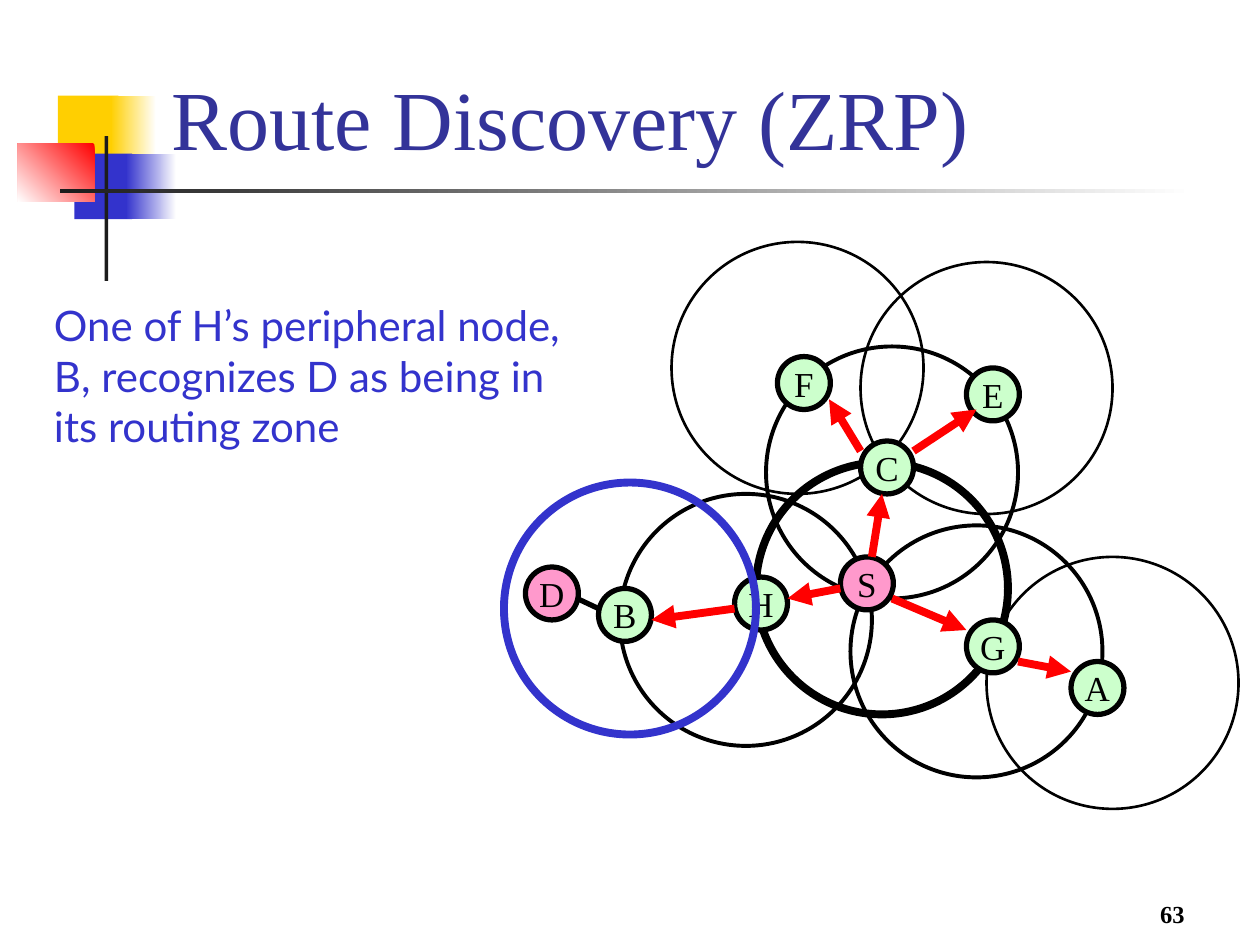
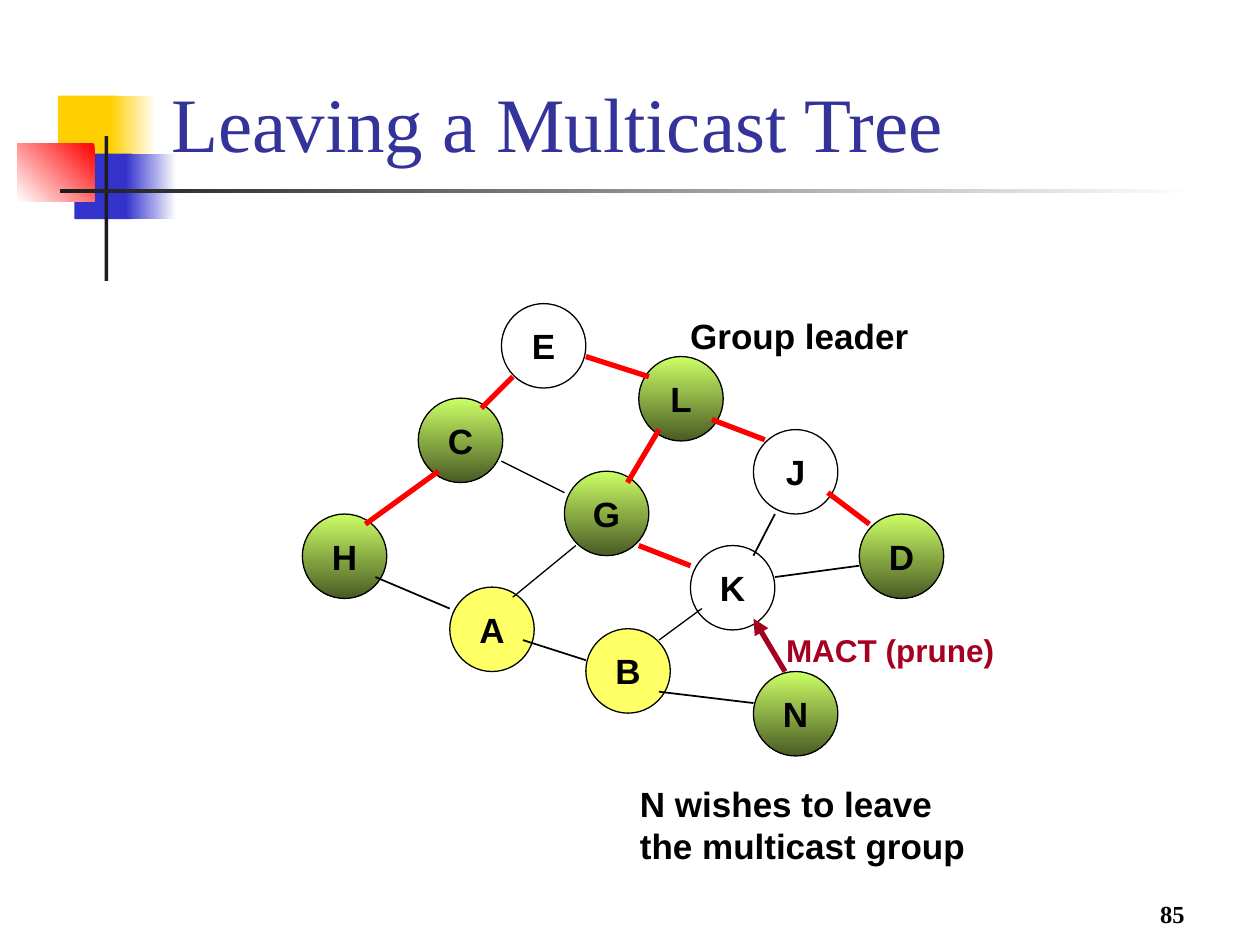
from lxml.etree import SubElement
from pptx import Presentation
from pptx.dml.color import RGBColor
from pptx.enum.shapes import MSO_CONNECTOR, MSO_SHAPE
from pptx.enum.text import MSO_ANCHOR as Anchor, MSO_AUTO_SIZE as AutoSize, PP_ALIGN as Align
from pptx.oxml.ns import qn
from pptx.util import Inches, Pt

# Colours and fonts
WHITE = RGBColor(0xFF, 0xFF, 0xFF)
BLACK = RGBColor(0x00, 0x00, 0x00)
CHARCOAL = RGBColor(0x1C, 0x1C, 0x1C)
RED = RGBColor(0xFF, 0x00, 0x00)
GOLD = RGBColor(0xFF, 0xCF, 0x01)
BLUE = RGBColor(0x33, 0x33, 0xCC)
TITLE_BLUE = RGBColor(0x33, 0x33, 0x99)
PINK = RGBColor(0xFF, 0x99, 0xCC)
MINT = RGBColor(0xCC, 0xFF, 0xCC)
YELLOW = RGBColor(0xFF, 0xFF, 0x66)
LIME = RGBColor(0xCC, 0xFF, 0x66)
OLIVE = RGBColor(0x49, 0x5B, 0x24)
CRIMSON = RGBColor(0xA5, 0x00, 0x21)
SERIF, SANS, BODY = "Times New Roman", "Arial", "Lato"

# A gradient is (first colour, last colour, counter-clockwise angle)
MEMBER = (LIME, OLIVE, 270)

# Shared corner motif: left, top, width, height, fill
MOTIF = [
    (0.46, 0.76, 0.48, 0.52, GOLD),
    (0.88, 0.76, 0.36, 0.52, (WHITE, GOLD, 180)),
    (0.59, 1.22, 0.46, 0.52, BLUE),
    (1.0, 1.22, 0.4, 0.52, (WHITE, BLUE, 180)),
    (0.14, 1.14, 0.61, 0.46, (RED, WHITE, 225)),
    (0.83, 1.08, 0.03, 1.15, CHARCOAL),
    (0.48, 1.5, 9.0, 0.03, (WHITE, CHARCOAL, 180)),
]

# Route discovery: routing zones by line width, nodes by fill, hops
ZONE_SIZE, HOST_SIZE = 2.0, 0.42
ZONES = [
    (5.33, 1.92, 1.5), (6.83, 2.08, 1.5), (6.08, 2.75, 2.25), (6.0, 3.67, 4.5),
    (7.83, 4.42, 1.5), (4.92, 3.92, 2.25), (6.75, 4.17, 2.25),
]
ZONE_OF_B = (4.0, 3.83)
HOSTS = {
    "S": (6.67, 4.42, PINK), "E": (7.67, 2.92, MINT), "F": (6.17, 2.83, MINT),
    "A": (8.5, 5.25, MINT), "G": (7.67, 4.92, MINT), "D": (4.17, 4.5, PINK),
    "C": (6.83, 3.5, MINT), "B": (4.75, 4.67, MINT), "H": (5.83, 4.58, MINT),
}
LINK_D_B = (4.58, 4.75, 4.75, 4.83)
HOPS = [
    (6.67, 4.67, 6.25, 4.75), (7.08, 4.75, 7.67, 5.0), (6.92, 4.42, 7.0, 3.92),
    (5.83, 4.83, 5.17, 4.92), (8.08, 5.25, 8.5, 5.33), (7.25, 3.58, 7.75, 3.25),
    (6.83, 3.58, 6.58, 3.17),
]
FINDING = "One of H’s peripheral node, B, recognizes D as being in its routing zone"

# Multicast tree: routers by fill, tree branches, other links
ROUTER_SIZE = 0.67
ROUTERS = {
    "E": (3.98, 2.41, None), "L": (5.07, 2.83, MEMBER), "H": (2.4, 4.08, MEMBER),
    "J": (5.98, 3.41, None), "D": (6.82, 4.08, MEMBER), "C": (3.32, 3.16, MEMBER),
    "G": (4.48, 3.74, MEMBER), "A": (3.57, 4.66, YELLOW), "B": (4.65, 4.99, YELLOW),
    "K": (5.48, 4.33, None), "N": (5.98, 5.33, MEMBER),
}
BRANCHES = [
    (3.48, 3.74, 2.9, 4.16), (4.07, 2.99, 3.82, 3.24), (4.65, 2.83, 5.15, 2.99),
    (5.23, 3.41, 4.98, 3.83), (5.65, 3.33, 6.07, 3.49), (5.07, 4.33, 5.48, 4.49),
    (6.57, 3.91, 6.9, 4.16),
]
LINKS = {
    0.75: [(3.98, 3.66, 4.48, 3.91), (4.57, 4.33, 4.07, 4.74), (5.57, 4.83, 5.23, 5.08)],
    1: [(2.98, 4.58, 3.57, 4.83), (6.82, 4.49, 6.15, 4.58), (4.65, 5.24, 4.15, 5.08),
        (5.23, 5.49, 5.98, 5.58), (6.15, 4.08, 5.98, 4.41)],
}
PRUNE = (6.23, 5.33, 5.98, 4.91)
CAPTIONS = [
    ("Group leader", (5.38, 2.44, 1.93, 0.44), 20, BLACK),
    ("N wishes to leave\nthe multicast group", (4.98, 6.16, 2.78, 0.77), 20, BLACK),
    ("MACT (prune)", (6.14, 4.96, 1.85, 0.4), 18, CRIMSON),
]


def write(frame, text, size=20, font=SERIF, color=BLACK, bold=False,
          align=Align.LEFT, anchor=Anchor.MIDDLE, wrap=False, fit=AutoSize.NONE):
    frame.text = text
    frame.word_wrap = wrap
    frame.auto_size = fit
    frame.vertical_anchor = anchor
    for paragraph in frame.paragraphs:
        paragraph.alignment = align
        paragraph.font.size = Pt(size)
        paragraph.font.name = font
        paragraph.font.bold = bold
        paragraph.font.color.rgb = color


def label(slide, text, box, **style):
    write(slide.shapes.add_textbox(*map(Inches, box)).text_frame, text, **style)


def paint(fill, paint_with):
    if paint_with is None:
        fill.background()
    elif isinstance(paint_with, RGBColor):
        fill.solid()
        fill.fore_color.rgb = paint_with
    else:
        *ends, angle = paint_with
        fill.gradient()
        fill.gradient_angle = angle
        for stop, color in zip(fill.gradient_stops, ends):
            stop.color.rgb = color


def add_figure(slide, kind, box, fill=None, outline=None, weight=0):
    figure = slide.shapes.add_shape(kind, *map(Inches, box))
    figure.shadow.inherit = False
    paint(figure.fill, fill)
    paint(figure.line.fill, outline)
    if outline is not None:
        figure.line.width = Pt(weight)
    return figure


def add_circle(slide, left, top, size, fill=None, outline=BLACK, weight=1.5):
    return add_figure(slide, MSO_SHAPE.OVAL, (left, top, size, size), fill, outline, weight)


def add_nodes(slide, nodes, size, weight, **style):
    for name, (left, top, fill) in nodes.items():
        node = add_circle(slide, left, top, size, fill, weight=weight)
        write(node.text_frame, name, align=Align.CENTER, **style)


def add_edge(slide, ends, color, weight, arrow=False):
    edge = slide.shapes.add_connector(MSO_CONNECTOR.STRAIGHT, *map(Inches, ends))
    edge.line.color.rgb = color
    edge.line.width = Pt(weight)
    properties = edge.element.spPr
    if arrow:
        SubElement(properties.find(qn("a:ln")), qn("a:tailEnd"), type="triangle")
    SubElement(properties, qn("a:effectLst"))


def add_motif(slide):
    """Draw the corner motif and move it to the layout, behind its placeholders."""
    for position, (*box, fill) in enumerate(MOTIF, start=2):
        block = add_figure(slide, MSO_SHAPE.RECTANGLE, box, fill)
        slide.slide_layout.shapes.element.insert(position, block.element)


def start_slide(deck, title, size, number):
    slide = deck.slides.add_slide(deck.slide_layouts[5])
    heading = slide.shapes.title
    heading.left, heading.top, heading.width, heading.height = map(
        Inches, (1.26, 0.13, 8.52, 1.25))
    write(heading.text_frame, title, size=size, color=TITLE_BLUE,
          anchor=Anchor.BOTTOM, wrap=True)
    label(slide, number, (7.42, 6.92, 2.08, 0.5), size=14, bold=True,
          align=Align.RIGHT, anchor=Anchor.BOTTOM, wrap=True)
    return slide


def build_route_discovery(deck):
    slide = start_slide(deck, "Route Discovery (ZRP)", 48, "63")
    add_motif(slide)
    for left, top, weight in ZONES:
        add_circle(slide, left, top, ZONE_SIZE, weight=weight)
    add_nodes(slide, HOSTS, HOST_SIZE, weight=3)
    add_edge(slide, LINK_D_B, BLACK, 3)
    label(slide, FINDING, (0.33, 2.33, 4.25, 1.3), size=24, font=BODY, color=BLUE,
          anchor=Anchor.TOP, wrap=True, fit=AutoSize.SHAPE_TO_FIT_TEXT)
    for hop in HOPS:
        add_edge(slide, hop, RED, 4.5, arrow=True)
    add_circle(slide, *ZONE_OF_B, ZONE_SIZE, outline=BLUE, weight=4.5)


def build_multicast_tree(deck):
    slide = start_slide(deck, "Leaving a Multicast Tree", 44, "85")
    add_nodes(slide, ROUTERS, ROUTER_SIZE, weight=0.75, font=SANS, bold=True)
    for branch in BRANCHES:
        add_edge(slide, branch, RED, 3)
    for weight, links in LINKS.items():
        for link in links:
            add_edge(slide, link, BLACK, weight)
    add_edge(slide, PRUNE, CRIMSON, 3, arrow=True)
    for text, box, size, color in CAPTIONS:
        label(slide, text, box, size=size, color=color, font=SANS, bold=True,
              fit=AutoSize.SHAPE_TO_FIT_TEXT)


def main():
    deck = Presentation()
    deck.slide_width, deck.slide_height = Inches(10), Inches(7.5)
    build_route_discovery(deck)
    build_multicast_tree(deck)
    deck.save("out.pptx")


if __name__ == "__main__":
    main()
